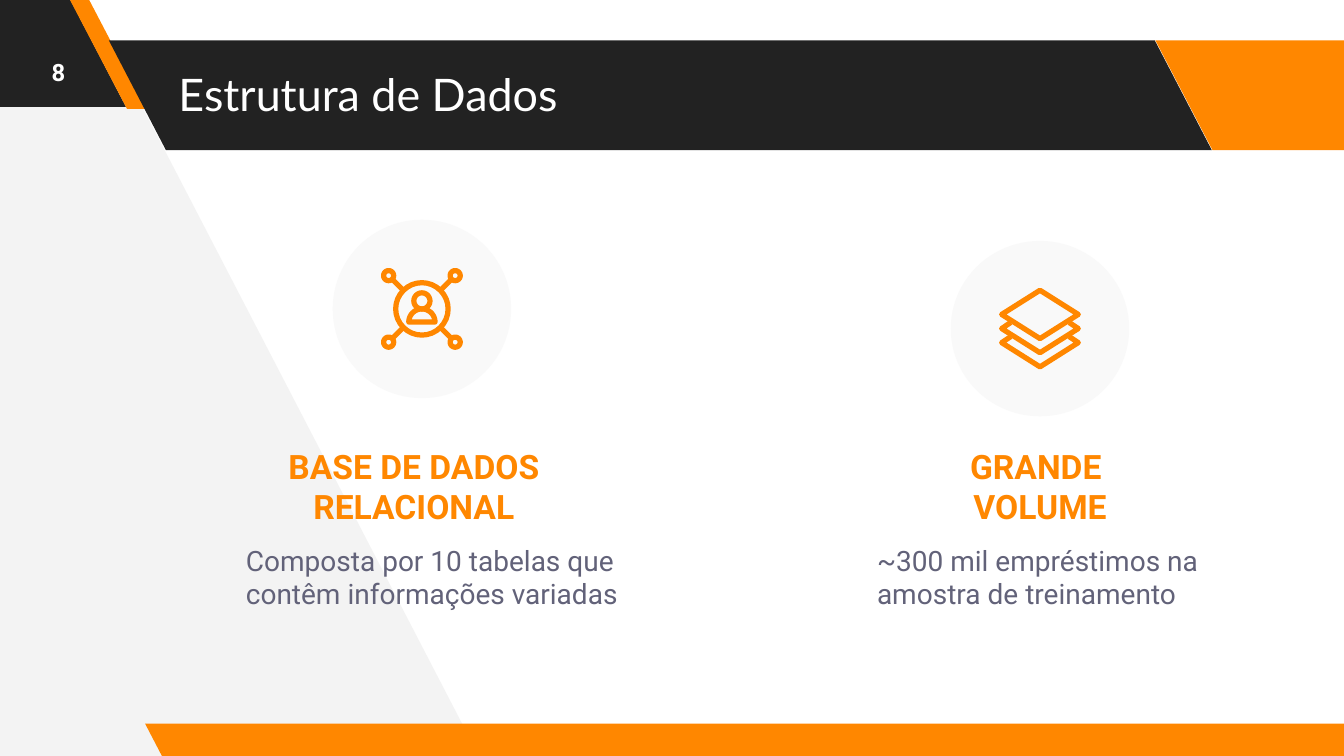
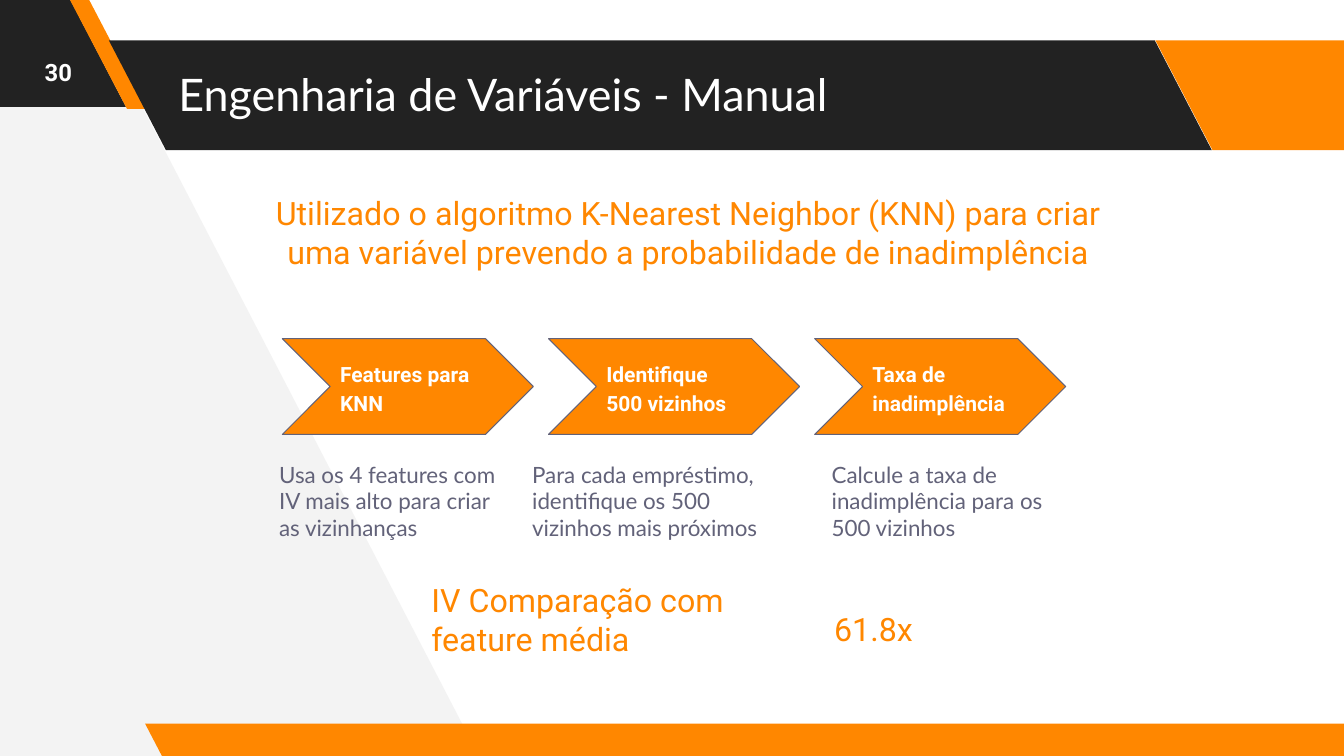
from math import cos, pi, sin

from pptx import Presentation
from pptx.dml.color import RGBColor
from pptx.enum import shapes, text
from pptx.oxml.xmlchemy import OxmlElement
from pptx.util import Inches, Pt

COLORS = {"dark": "222222", "orange": "FF8700", "pale": "F3F3F3",
          "disc": "F9F9F9", "slate": "626279", "white": "FFFFFF"}
SHAPE = shapes.MSO_SHAPE
ALIGN = text.PP_ALIGN
ANCHOR = text.MSO_ANCHOR
STROKE = 3.75  # icon line width in points

# Background: left, top, width, height, slant, colour
WEDGE = [(4.75, 7.5), (0.83, -0.06), (-0.08, -0.05), (-0.03, 7.55)]
BANDS = [
    (-1.32, -0.03, 2.57, 1.09, 0.52, "dark"),
    (0.69, -0.01, 0.76, 1.09, 0.75, "orange"),
    (1.08, 0.4, 10.94, 1.09, 0.52, "dark"),
    (11.46, 0.4, 2.57, 1.09, 0.52, "orange"),
    (1.44, 7.18, 12.2, 0.33, 0.52, "orange"),
]
TITLE_BOX = (1.64, 0.2, 14.73, 1.46)
PAGE_BOX = (0, 0, 1.16, 1.42)

DATA_TITLE, DATA_PAGE = "Estrutura de Dados", "8"
FACTS = [
    {"icon": "network", "disc": (3.3, 2.18, 1.77, 1.77),
     "heading": ("BASE DE DADOS RELACIONAL", (2.64, 4.32, 2.93, 1.16)),
     "detail": ("Composta por 10 tabelas que contêm informações variadas",
                (2.34, 5.29, 3.91, 1.16))},
    {"icon": "layers", "disc": (9.43, 2.39, 1.77, 1.74),
     "heading": ("GRANDE \nVOLUME", (8.85, 4.32, 2.93, 1.16)),
     "detail": ("~300 mil empréstimos na amostra de treinamento",
                (8.6, 5.29, 3.42, 1.16))},
]

KNN_TITLE, KNN_PAGE = "Engenharia de Variáveis - Manual", "30"
# Step, explanation, left and width of the explanation
STEPS = [
    ("Features para KNN",
     "Usa os 4 features com IV mais alto para criar as vizinhanças", 2.67, 2.52),
    ("Identifique 500 vizinhos",
     "Para cada empréstimo, identifique os 500 vizinhos mais próximos", 5.18, 2.77),
    ("Taxa de inadimplência",
     "Calcule a taxa de inadimplência para os 500 vizinhos", 8.15, 2.52),
]
STEP_LEFT, STEP_PITCH = 2.8, 2.64
STATEMENTS = [
    ("Utilizado o algoritmo K-Nearest Neighbor (KNN) para criar uma variável "
     "prevendo a probabilidade de inadimplência",
     (2.44, 1.82, 8.78, 1.31), ALIGN.CENTER),
    ("IV Comparação com feature média", (4.18, 5.66, 3.35, 1.31), ALIGN.LEFT),
    ("61.8x", (8.13, 5.94, 1.07, 0.75), ALIGN.CENTER),
]


def rgb(name):
    return RGBColor.from_string(COLORS[name])


def inches(values):
    return [Inches(value) for value in values]


def write(frame, content, size, font="Roboto", color="slate", bold=False,
          align=ALIGN.LEFT, anchor=ANCHOR.TOP, inset=0.1, spacing=None):
    """Fill a text frame, one paragraph for each line of content."""
    frame.word_wrap = True
    frame.auto_size = text.MSO_AUTO_SIZE.NONE
    frame.vertical_anchor = anchor
    frame.margin_left = frame.margin_right = Inches(inset)
    frame.margin_top = frame.margin_bottom = Inches(inset)
    frame.text = content
    for paragraph in frame.paragraphs:
        paragraph.alignment = align
        paragraph.line_spacing = spacing
        for run in paragraph.runs:
            run.font.size = Pt(size)
            run.font.name = font
            run.font.bold = bold
            run.font.color.rgb = rgb(color)


def add_text(slide, box, content, size, **style):
    write(slide.shapes.add_textbox(*inches(box)).text_frame, content, size, **style)


def paint(shape, fill=None, line=None, weight=STROKE):
    shape.shadow.inherit = False
    if fill:
        shape.fill.solid()
        shape.fill.fore_color.rgb = rgb(fill)
    else:
        shape.fill.background()
    if line:
        shape.line.color.rgb = rgb(line)
        shape.line.width = Pt(weight)
        shape.line._get_or_add_ln().append(OxmlElement("a:round"))
    else:
        shape.line.fill.background()
    return shape


def add_shape(slide, kind, box, **style):
    return paint(slide.shapes.add_shape(kind, *inches(box)), **style)


def add_outline(slide, closed, opened=(), **style):
    """Draw one freeform from closed and open contours."""
    builder = slide.shapes.build_freeform(*inches(closed[0][0]))
    for contour in (*closed, *opened):
        start, *rest = [inches(point) for point in contour]
        if contour is not closed[0]:
            builder.move_to(*start)
        builder.add_line_segments(rest, close=contour in closed)
    return paint(builder.convert_to_shape(), **style)


def arc(x, y, radius, turn=2 * pi, steps=32):
    angles = [turn * step / steps for step in range(steps + 1)]
    return [(x - radius * cos(angle), y - radius * sin(angle)) for angle in angles]


def draw_network(slide, x, y):
    """Person in a ring that is linked to four nodes."""
    corners = [(dx, dy) for dx in (-1, 1) for dy in (-1, 1)]
    nodes = [arc(x + 0.33 * dx, y + 0.33 * dy, 0.05) for dx, dy in corners]
    links = [[(x + 0.19 * dx, y + 0.19 * dy), (x + 0.29 * dx, y + 0.29 * dy)]
             for dx, dy in corners]
    head, shoulders = arc(x, y - 0.08, 0.08), arc(x, y + 0.13, 0.13, turn=pi)
    add_outline(slide, [head, shoulders], line="orange")
    add_outline(slide, [arc(x, y, 0.26), *nodes], links, line="orange")


def draw_layers(slide, x, y):
    """Diamond above the visible edges of two more."""
    half_width, half_height, step = 0.38, 0.24, 0.14
    middle = y - step
    diamond = [(x, middle - half_height), (x + half_width, middle),
               (x, middle + half_height), (x - half_width, middle)]
    edges = [[(x - 0.29, side - 0.06), (x - half_width, side),
              (x, side + half_height), (x + half_width, side),
              (x + 0.29, side - 0.06)]
             for side in (middle + step, middle + 2 * step)]
    add_outline(slide, [diamond], edges, line="orange")


ICONS = {"network": draw_network, "layers": draw_layers}


def build_layout(layout, slide):
    """Draw the background on a slide, then move it to the slide's layout."""
    background = [add_outline(slide, [WEDGE], fill="pale")]
    for *box, slant, color in BANDS:
        band = add_shape(slide, SHAPE.PARALLELOGRAM, box, fill=color)
        band.adjustments[0] = slant
        band._element.spPr.xfrm.set("flipH", "1")
        background.append(band)
    for position, shape in enumerate(background, start=2):
        layout.shapes._spTree.insert(position, shape._element)
    title = layout.placeholders[0]
    title.left, title.top, title.width, title.height = inches(TITLE_BOX)


def add_header(slide, title, page):
    write(slide.shapes.title.text_frame, title, 32, font="Lato", color="white",
          anchor=ANCHOR.MIDDLE, inset=0.13)
    add_text(slide, PAGE_BOX, page, 17, color="white", bold=True,
             align=ALIGN.CENTER, anchor=ANCHOR.MIDDLE, inset=0.13)


def build_data(slide):
    add_header(slide, DATA_TITLE, DATA_PAGE)
    for fact in FACTS:
        left, top, width, height = fact["disc"]
        add_shape(slide, SHAPE.OVAL, fact["disc"], fill="disc")
        ICONS[fact["icon"]](slide, left + width / 2, top + height / 2)
        heading, heading_box = fact["heading"]
        add_text(slide, heading_box, heading, 24, color="orange", bold=True,
                 align=ALIGN.CENTER)
        detail, detail_box = fact["detail"]
        add_text(slide, detail_box, detail, 20)


def build_knn(slide):
    add_header(slide, KNN_TITLE, KNN_PAGE)
    for index, (step, explanation, left, width) in enumerate(STEPS):
        chevron = add_shape(slide, SHAPE.CHEVRON,
                            (STEP_LEFT + index * STEP_PITCH, 3.36, 2.49, 0.95),
                            fill="orange", line="slate", weight=0.75)
        write(chevron.text_frame, step, 15, color="white", bold=True,
              anchor=ANCHOR.MIDDLE, spacing=1.15)
        add_text(slide, (left, 4.47, width, 1.42), explanation, 16, font="Lato")
    for statement, box, align in STATEMENTS:
        add_text(slide, box, statement, 23, color="orange", align=align)


def main():
    prs = Presentation()
    prs.slide_width, prs.slide_height = Inches(13.33), Inches(7.5)
    layout = prs.slide_layouts.get_by_name("Title Only")
    data_slide, knn_slide = [prs.slides.add_slide(layout) for _ in range(2)]
    build_layout(layout, data_slide)
    build_data(data_slide)
    build_knn(knn_slide)
    prs.save("out.pptx")


if __name__ == "__main__":
    main()
